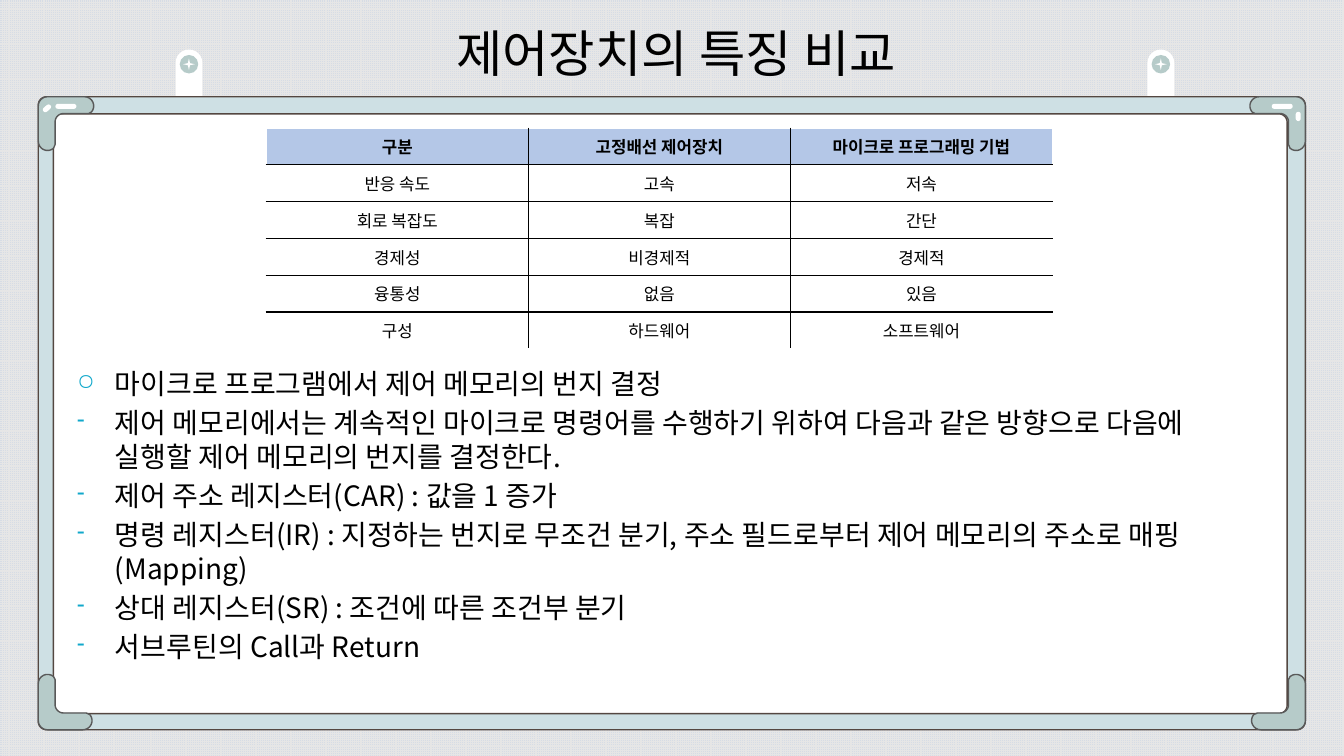
from dataclasses import dataclass
from math import cos, radians, sin

from lxml.etree import SubElement
from pptx import Presentation
from pptx.dml.color import RGBColor
from pptx.enum.dml import MSO_PATTERN
from pptx.enum.shapes import MSO_SHAPE
from pptx.enum.text import MSO_ANCHOR, PP_ALIGN
from pptx.oxml.ns import qn
from pptx.util import Emu, Inches, Pt

COLUMNS, ROWS = 160, 90
Point = tuple[float, float]


@dataclass(frozen=True)
class Theme:
    font: str = "Noto Sans CJK KR"
    ink: str = "000000"
    white: str = "FFFFFF"
    grid_line: str = "E6E6E6"
    grid_back: str = "D6DCE5"
    frame: str = "CEE0E4"
    frame_edge: str = "544741"
    corner: str = "B6CBC9"
    corner_edge: str = "595959"
    header: str = "B4C7E7"
    bullet: str = "10A8CB"
    title_size: int = 36
    body_size: int = 20
    table_size: int = 12


@dataclass(frozen=True)
class Box:
    left: float
    top: float
    width: float
    height: float

    def emu(self) -> list[Emu]:
        return [cells(n) for n in (self.left, self.top, self.width, self.height)]


@dataclass(frozen=True)
class Ornament:
    preset: MSO_SHAPE
    box: Box
    color: str
    adjustments: tuple[float, ...] = ()
    rotation: float = 0


@dataclass(frozen=True)
class Corner:
    x: float
    y: float
    across: int
    down: int


@dataclass(frozen=True)
class Item:
    bullet: str
    wording: str


THEME = Theme()
OUTER = Box(4.56, 11.52, 150.84, 75.36)
INNER = Box(6.36, 13.56, 146.88, 71.4)
BOARD = Box(5.2, 13, 149.4, 73)
TITLE = Box(24.5, 1.8, 112, 9.84)
TABLE = Box(31.7, 15.25, 93.6, 26.28)
BODY = Box(8, 43, 144, 39.2)
HANGERS = (20.9, 136.6)
SHINES = [
    Ornament(MSO_SHAPE.ROUNDED_RECTANGLE, box, THEME.white, (0.5,), turn)
    for box, turn in (
        (Box(6.6, 12.36, 2.5, 0.6), 0),
        (Box(5.04, 12.6, 1.1, 0.6), 319.2),
        (Box(151.4, 12.36, 2.5, 0.6), 0),
        (Box(154, 13.56, 1.1, 0.6), 270),
    )
]
COMPARISON = [
    ("구분", "고정배선 제어장치", "마이크로 프로그래밍 기법"),
    ("반응 속도", "고속", "저속"),
    ("회로 복잡도", "복잡", "간단"),
    ("경제성", "비경제적", "경제적"),
    ("융통성", "없음", "있음"),
    ("구성", "하드웨어", "소프트웨어"),
]
ITEMS = [
    Item("○", "마이크로 프로그램에서 제어 메모리의 번지 결정"),
    Item("-", "제어 메모리에서는 계속적인 마이크로 명령어를 수행하기 위하여 다음과 같은 방향으로 "
              "다음에 실행할 제어 메모리의 번지를 결정한다."),
    Item("-", "제어 주소 레지스터(CAR) : 값을 1 증가"),
    Item("-", "명령 레지스터(IR) : 지정하는 번지로 무조건 분기, 주소 필드로부터 "
              "제어 메모리의 주소로 매핑(Mapping)"),
    Item("-", "상대 레지스터(SR) : 조건에 따른 조건부 분기"),
    Item("-", "서브루틴의 Call과 Return"),
]


def cells(count: float) -> Emu:
    return Emu(round(count * Inches(7.5) / ROWS))


def rgb(color: str) -> RGBColor:
    return RGBColor.from_string(color)


def arc(x: float, y: float, radius: float, start: float, end: float) -> list[Point]:
    angles = [radians(start + (end - start) * step / 8) for step in range(9)]
    return [(x + radius * cos(a), y + radius * sin(a)) for a in angles]


def rounded(box: Box) -> list[Point]:
    right, bottom = box.left + box.width - 1, box.top + box.height - 1
    left, top = box.left + 1, box.top + 1
    centres = ((left, top), (right, top), (right, bottom), (left, bottom))
    return [p for turn, (x, y) in enumerate(centres)
            for p in arc(x, y, 1, 180 + 90 * turn, 270 + 90 * turn)]


def corner_outline(corner: Corner) -> list[Point]:
    outline = [*arc(5.5, 1.1, 1.1, -90, 40), (6, 2), *arc(3, 3, 1, 270, 180),
               (2, 5.7), *arc(1.1, 5.3, 1.1, 50, 180), *arc(1.1, 1.1, 1.1, 180, 270)]
    if corner.down < 0:
        outline = [(y, x) for x, y in outline]
    return [(corner.x + corner.across * x, corner.y + corner.down * y) for x, y in outline]


def draw_outline(shapes, contours: list[list[Point]], color: str, edge: str) -> None:
    scaled = [[(cells(x), cells(y)) for x, y in contour] for contour in contours]
    builder = shapes.build_freeform(*scaled[0][0], scale=1.0)
    builder.add_line_segments(scaled[0][1:], close=True)
    for contour in scaled[1:]:
        builder.move_to(*contour[0])
        builder.add_line_segments(contour[1:], close=True)
    outline = builder.convert_to_shape()
    outline.shadow.inherit = False
    outline.fill.solid()
    outline.fill.fore_color.rgb = rgb(color)
    outline.line.color.rgb = rgb(edge)
    outline.line.width = Pt(1)


def draw_ornament(shapes, ornament: Ornament) -> None:
    drawn = shapes.add_shape(ornament.preset, *ornament.box.emu())
    for index, value in enumerate(ornament.adjustments):
        drawn.adjustments[index] = value
    drawn.rotation = ornament.rotation
    drawn.shadow.inherit = False
    drawn.fill.solid()
    drawn.fill.fore_color.rgb = rgb(ornament.color)
    drawn.line.fill.background()


def draw_board(shapes) -> None:
    for left in HANGERS:
        draw_ornament(shapes, Ornament(MSO_SHAPE.ROUND_2_SAME_RECTANGLE,
                                       Box(left, 5.9, 3.2, 5.8), THEME.white, (0.5, 0)))
        draw_ornament(shapes, Ornament(MSO_SHAPE.OVAL, Box(left + 0.5, 6.55, 2.2, 2.2), THEME.corner))
        draw_ornament(shapes, Ornament(MSO_SHAPE.STAR_4_POINT,
                                       Box(left + 0.9, 6.95, 1.4, 1.4), THEME.white))
    draw_ornament(shapes, Ornament(MSO_SHAPE.RECTANGLE, BOARD, THEME.white))
    draw_outline(shapes, [rounded(INNER), rounded(OUTER)], THEME.frame, THEME.frame_edge)
    for x, across in ((OUTER.left, 1), (OUTER.left + OUTER.width, -1)):
        for y, down in ((OUTER.top, 1), (OUTER.top + OUTER.height, -1)):
            draw_outline(shapes, [corner_outline(Corner(x, y, across, down))],
                         THEME.corner, THEME.corner_edge)
    for shine in SHINES:
        draw_ornament(shapes, shine)


def style(paragraph, size: int, bold: bool = False) -> None:
    for run in paragraph.runs:
        run.font.size, run.font.bold = Pt(size), bold
        run.font.color.rgb = rgb(THEME.ink)
        run.font.name = THEME.font
        SubElement(run.font._element, qn("a:ea"), typeface=THEME.font)


def draw_title(shapes) -> None:
    frame = shapes.add_textbox(*TITLE.emu()).text_frame
    frame.word_wrap, frame.vertical_anchor = True, MSO_ANCHOR.MIDDLE
    frame.text = "제어장치의 특징 비교"
    heading = frame.paragraphs[0]
    heading.alignment, heading.line_spacing = PP_ALIGN.CENTER, 0.9
    style(heading, THEME.title_size)


def set_borders(cell, row: int, column: int) -> None:
    outside = {"L": column == 0, "R": column == 2, "T": row == 0, "B": row == len(COMPARISON) - 1}
    for side, is_outside in outside.items():
        line = SubElement(cell._tc.get_or_add_tcPr(), qn(f"a:ln{side}"), w=str(Pt(1)))
        fill = SubElement(line, qn("a:solidFill"))
        SubElement(fill, qn("a:srgbClr"), val=THEME.white if is_outside else THEME.ink)


def draw_comparison(shapes) -> None:
    comparison = shapes.add_table(len(COMPARISON), len(COMPARISON[0]), *TABLE.emu()).table
    comparison.horz_banding = False
    for row, wordings in enumerate(COMPARISON):
        comparison.rows[row].height = cells(TABLE.height / len(COMPARISON))
        for column, wording in enumerate(wordings):
            cell = comparison.cell(row, column)
            cell.text_frame.text = wording
            cell.vertical_anchor = MSO_ANCHOR.MIDDLE
            cell.text_frame.paragraphs[0].alignment = PP_ALIGN.CENTER
            style(cell.text_frame.paragraphs[0], THEME.table_size, row == 0)
            set_borders(cell, row, column)
            cell.fill.solid()
            cell.fill.fore_color.rgb = rgb(THEME.white if row else THEME.header)


def draw_items(shapes) -> None:
    frame = shapes.add_textbox(*BODY.emu()).text_frame
    frame.word_wrap = True
    frame.text = "\n".join(item.wording for item in ITEMS)
    for paragraph, item in zip(frame.paragraphs, ITEMS):
        paragraph.space_before = Pt(THEME.body_size * 0.2)
        style(paragraph, THEME.body_size)
        properties = paragraph._p.get_or_add_pPr()
        properties.set("marL", str(cells(4.5)))
        properties.set("indent", str(-cells(4.5)))
        SubElement(SubElement(properties, qn("a:buClr")), qn("a:srgbClr"), val=THEME.bullet)
        SubElement(properties, qn("a:buSzPct"), val="80000")
        SubElement(properties, qn("a:buChar"), char=item.bullet)


def main() -> None:
    deck = Presentation()
    deck.slide_width, deck.slide_height = cells(COLUMNS), cells(ROWS)
    slide = deck.slides.add_slide(deck.slide_layouts[6])
    backdrop = slide.background.fill
    backdrop.patterned()
    backdrop.pattern = MSO_PATTERN.SMALL_GRID
    backdrop.fore_color.rgb, backdrop.back_color.rgb = rgb(THEME.grid_line), rgb(THEME.grid_back)
    draw_board(slide.shapes)
    draw_title(slide.shapes)
    draw_comparison(slide.shapes)
    draw_items(slide.shapes)
    deck.save("out.pptx")


if __name__ == "__main__":
    main()
